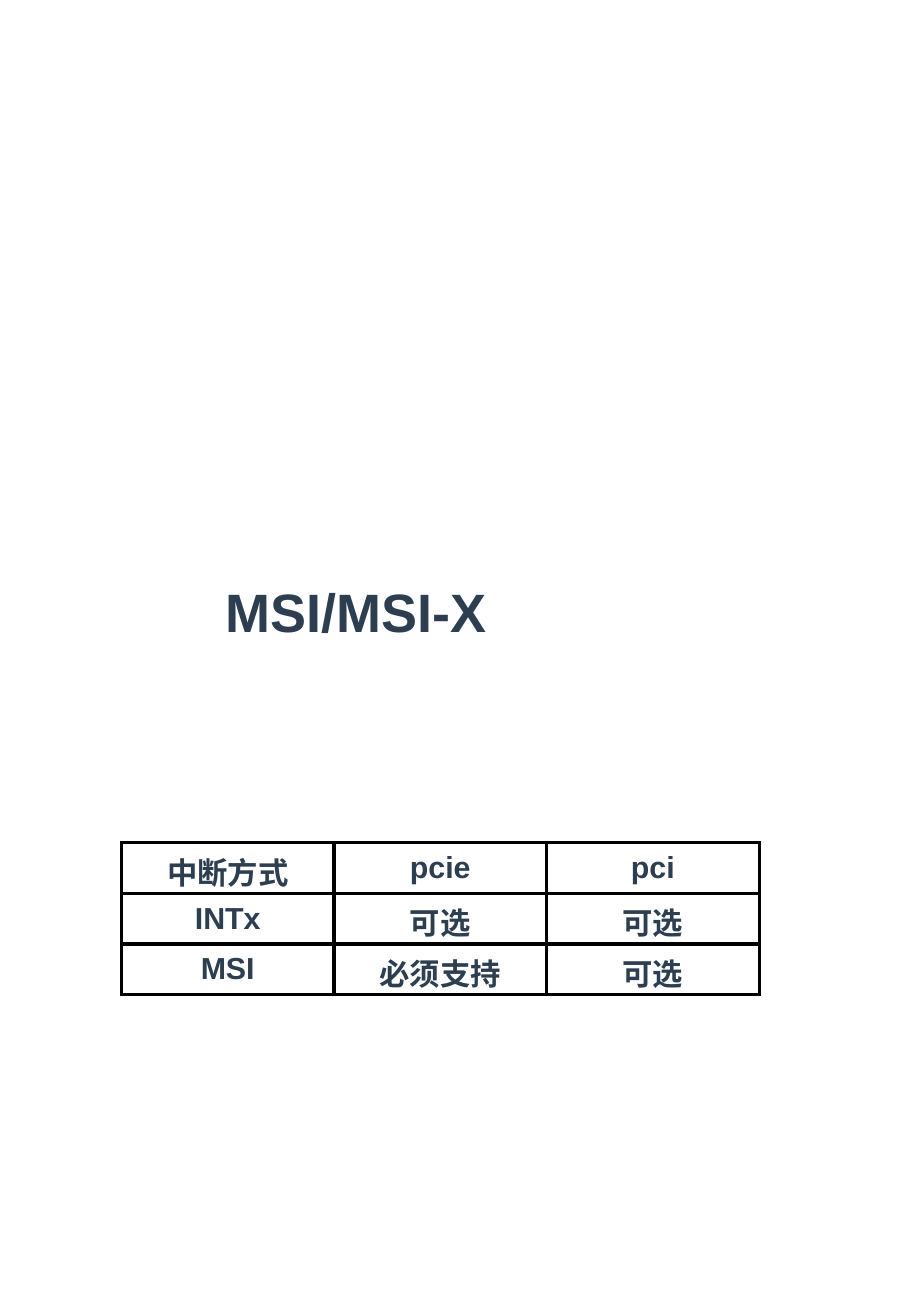
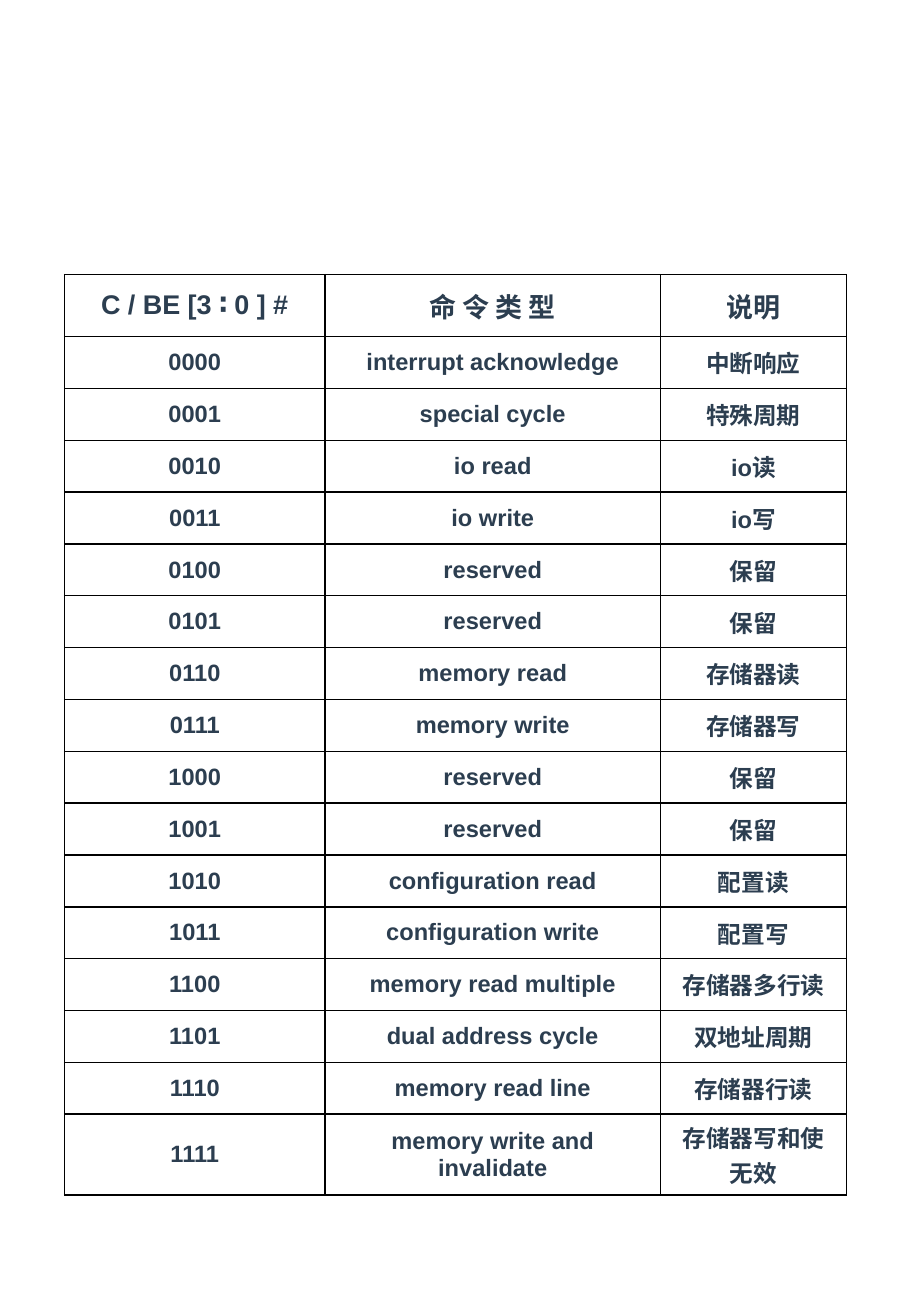
"""Build two slides on PCI interrupt modes and bus commands."""
from lxml import etree
from pptx import Presentation
from pptx.dml.color import RGBColor
from pptx.enum.text import MSO_ANCHOR as ANCHOR, MSO_AUTO_SIZE as FIT, PP_ALIGN as ALIGN
from pptx.oxml.ns import qn
from pptx.util import Pt

PX = 9525
COLORS = {"text": "2C3E50", "border": "000000"}
FONT = "Arial"
TITLE_ONLY, BLANK = 5, 6

INTERRUPT_MODES = [
    ("中断方式", "pcie", "pci"),
    ("INTx", "可选", "可选"),
    ("MSI", "必须支持", "可选"),
]
COMMAND_HEADER = ("C / BE [3 ∶ 0 ] #", "命 令 类 型", "说明")
COMMANDS = [
    ("interrupt acknowledge", "中断响应"),
    ("special cycle", "特殊周期"),
    ("io read", "io读"),
    ("io write", "io写"),
    ("reserved", "保留"),
    ("reserved", "保留"),
    ("memory read", "存储器读"),
    ("memory write", "存储器写"),
    ("reserved", "保留"),
    ("reserved", "保留"),
    ("configuration read", "配置读"),
    ("configuration write", "配置写"),
    ("memory read multiple", "存储器多行读"),
    ("dual address cycle", "双地址周期"),
    ("memory read line", "存储器行读"),
    ("memory write and invalidate", "存储器写和使无效"),
]


def px(*values):
    return [v * PX for v in values]


def style_text(p, size, align):
    p.alignment = align
    p.font.name, p.font.size, p.font.bold = FONT, Pt(size), True
    p.font.color.rgb = RGBColor.from_string(COLORS["text"])


def set_title(s, text, left, top, width, height):
    sp = s.shapes.title
    sp.left, sp.top, sp.width, sp.height = px(left, top, width, height)
    tf = sp.text_frame
    tf.text = text
    tf.word_wrap, tf.auto_size = False, FIT.SHAPE_TO_FIT_TEXT
    style_text(tf.paragraphs[0], 32, ALIGN.LEFT)


def set_borders(cell, width):
    tc_pr = cell._tc.get_or_add_tcPr()
    for side in ("lnL", "lnR", "lnT", "lnB"):
        ln = etree.SubElement(tc_pr, qn(f"a:{side}"), w=str(Pt(width)))
        fill = etree.SubElement(ln, qn("a:solidFill"))
        etree.SubElement(fill, qn("a:srgbClr"), val=COLORS["border"])


def add_grid(s, rows, left, top, widths, heights, sizes, border):
    frame = s.shapes.add_table(len(rows), len(widths),
                               *px(left, top, sum(widths), sum(heights)))
    table = frame.table
    table.first_row = table.horz_banding = False
    for column, width in zip(table.columns, px(*widths)):
        column.width = width
    for row, height, size, texts in zip(table.rows, px(*heights), sizes, rows):
        row.height = height
        for cell, text in zip(row.cells, texts):
            cell.text = text
            cell.vertical_anchor = ANCHOR.MIDDLE
            style_text(cell.text_frame.paragraphs[0], size, ALIGN.CENTER)
            set_borders(cell, border)
            cell.fill.background()


def main():
    prs = Presentation()
    prs.slide_width, prs.slide_height = px(720, 1040)

    s = prs.slides.add_slide(prs.slide_layouts[TITLE_ONLY])
    set_title(s, "MSI/MSI-X", 169, 452, 260, 61)
    add_grid(s, INTERRUPT_MODES, 96, 666, [168] * 3, [40] * 3, [18] * 3, 2.25)

    s = prs.slides.add_slide(prs.slide_layouts[BLANK])
    rows = [COMMAND_HEADER] + [(f"{code:04b}", *names) for code, names in enumerate(COMMANDS)]
    count = len(COMMANDS)
    add_grid(s, rows, 51, 217, [206, 265, 147],
             [49] + [41] * (count - 1) + [64], [16] + [14] * count, 1)

    prs.save("out.pptx")


if __name__ == "__main__":
    main()
